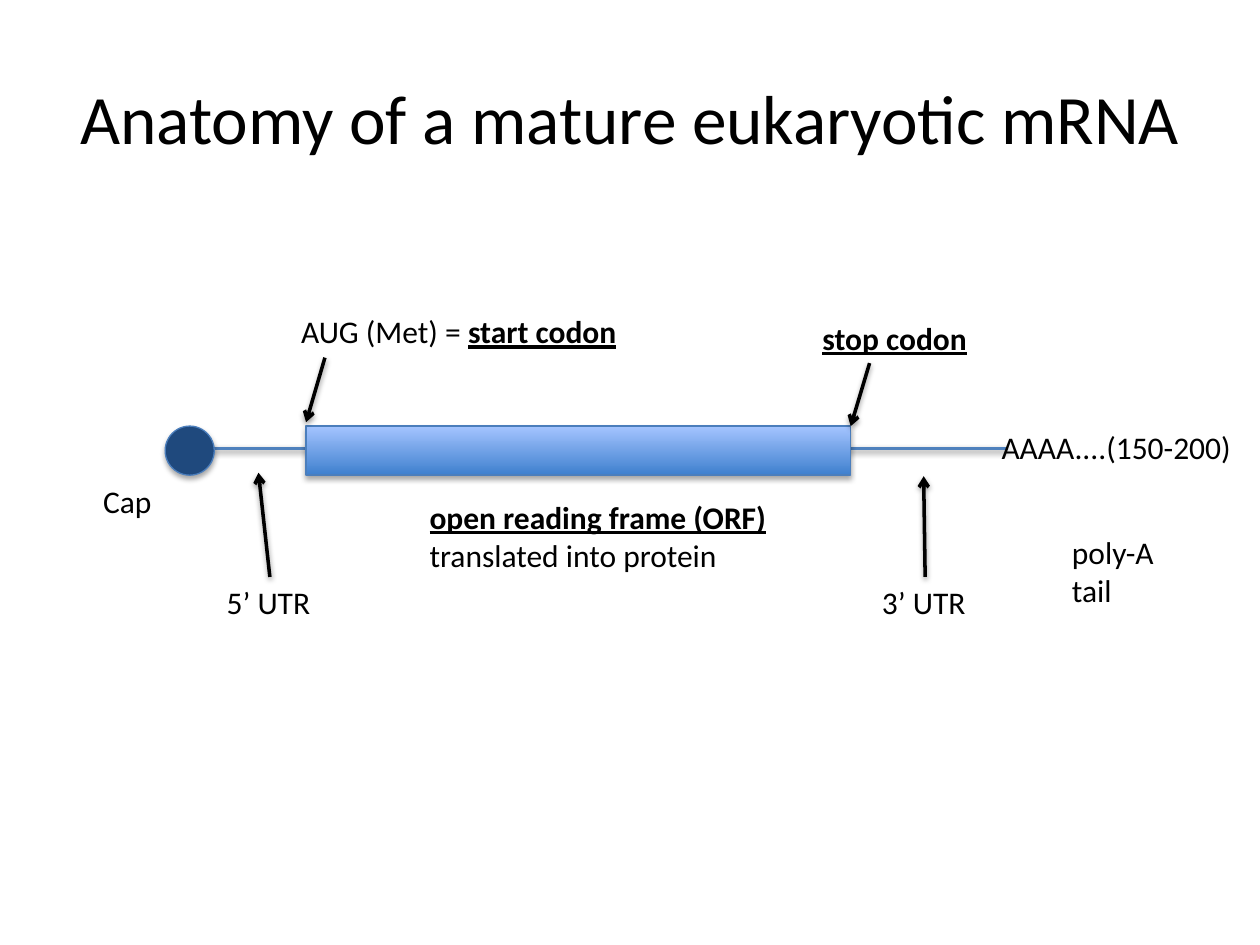
"""Build a slide on the anatomy of a mature eukaryotic mRNA."""
from pptx import Presentation
from pptx import util as u
from pptx.dml.color import RGBColor
from pptx.enum import shapes, text
from pptx.oxml import parse_xml
from pptx.oxml.ns import nsdecls
from lxml import etree

BLACK = RGBColor(0, 0, 0)
NAVY = RGBColor(0x1F, 0x49, 0x7D)
BLUE = RGBColor(0x4F, 0x81, 0xBD)
EDGE = RGBColor(0x4B, 0x7E, 0xBC)
DEEP = RGBColor(0x3F, 0x80, 0xCE)
PALE = RGBColor(0xA4, 0xC4, 0xFF)


def write(para, words, size=18, bold=None, underline=None):
    span = para.add_run()
    span.text = words
    span.font.name = "Calibri"
    span.font.size = u.Pt(size)
    span.font.color.rgb = BLACK
    span.font.bold = bold
    span.font.underline = underline


def outline(item, color, width, distance, opacity):
    item.line.color.rgb = color
    item.line.width = u.Pt(width)
    item._element.spPr.append(parse_xml(
        f'<a:effectLst {nsdecls("a")}><a:outerShdw blurRad="{u.Pt(3.1)}" dist="{u.Pt(distance)}" '
        f'dir="5400000" rotWithShape="0"><a:srgbClr val="000000"><a:alpha val="{opacity}000"/>'
        '</a:srgbClr></a:outerShdw></a:effectLst>'))


deck = Presentation()
deck.slide_width, deck.slide_height = u.Cm(25.4), u.Cm(19.05)
page = deck.slides.add_slide(deck.slide_layouts[5])

title = page.shapes.title
title.left, title.top, title.width, title.height = u.Cm(1.27), u.Cm(0.76), u.Cm(22.86), u.Cm(3.18)
title.text_frame.vertical_anchor = text.MSO_ANCHOR.MIDDLE
title.text_frame.paragraphs[0].alignment = text.PP_ALIGN.CENTER
write(title.text_frame.paragraphs[0], "Anatomy of a mature eukaryotic mRNA", size=39.6)

backbone = page.shapes.add_connector(
    shapes.MSO_CONNECTOR.STRAIGHT, u.Cm(4.06), u.Cm(9.04), u.Cm(20.32), u.Cm(9.04))
outline(backbone, BLUE, 2, 1.6, 38)

frame = page.shapes.add_shape(
    shapes.MSO_SHAPE.RECTANGLE, u.Cm(6.17), u.Cm(8.59), u.Cm(10.97), u.Cm(0.99))
frame.fill.gradient()
frame.fill.gradient_angle = 90
for stop, color in zip(frame.fill.gradient_stops, (DEEP, PALE)):
    stop.color.rgb = color

cap = page.shapes.add_shape(
    shapes.MSO_SHAPE.OVAL, u.Cm(3.33), u.Cm(8.59), u.Cm(0.99), u.Cm(0.99))
cap.fill.solid()
cap.fill.fore_color.rgb = NAVY
for shape in (frame, cap):
    outline(shape, EDGE, 0.75, 1.8, 35)

# Each label is a list of lines, each line a list of (words, is key term).
labels = {
    "tail sequence": (19.94, 8.51, 5.18, [[("AAAA....(150-200)", False)]]),
    "cap": (1.83, 9.6, 1.5, [[("Cap", False)]]),
    "5 UTR": (4.32, 11.63, 2.24, [[("5’ UTR", False)]]),
    "ORF": (8.41, 9.91, 7.39, [[("open reading frame (ORF)", True)],
                               [("translated into protein", False)]]),
    "3 UTR": (17.53, 11.63, 2.24, [[("3’ UTR", False)]]),
    "poly-A": (21.36, 10.62, 2.18, [[("poly-A", False)], [("tail", False)]]),
    "start": (5.82, 6.17, 6.91, [[("AUG (Met) = ", False), ("start codon", True)]]),
    "stop": (16.33, 6.3, 3.48, [[("stop codon", True)]]),
}
boxes = {}
for name, (left, top, width, lines) in labels.items():
    height = 1.02 if len(lines) == 1 else 1.8
    box = page.shapes.add_textbox(u.Cm(left), u.Cm(top), u.Cm(width), u.Cm(height))
    box.text_frame.word_wrap = False
    box.text_frame.auto_size = text.MSO_AUTO_SIZE.SHAPE_TO_FIT_TEXT
    for index, line in enumerate(lines):
        para = box.text_frame.add_paragraph() if index else box.text_frame.paragraphs[0]
        for words, key in line:
            write(para, words, bold=key, underline=key)
    boxes[name] = box

arrows = [
    (5.44, 11.63, 5.21, 9.53, "5 UTR"),
    (18.64, 11.63, 18.62, 9.6, "3 UTR"),
    (6.55, 7.21, 6.17, 8.51, None),
    (17.53, 7.32, 17.15, 8.59, None),
]
for x1, y1, x2, y2, source in arrows:
    arrow = page.shapes.add_connector(
        shapes.MSO_CONNECTOR.STRAIGHT, u.Cm(x1), u.Cm(y1), u.Cm(x2), u.Cm(y2))
    if source:
        arrow.begin_connect(boxes[source], 0)
    outline(arrow, BLACK, 2, 1.6, 38)
    head = etree.SubElement(arrow.line._get_or_add_ln(),
                            "{http://schemas.openxmlformats.org/drawingml/2006/main}tailEnd")
    head.set("type", "arrow")

deck.save("out.pptx")
